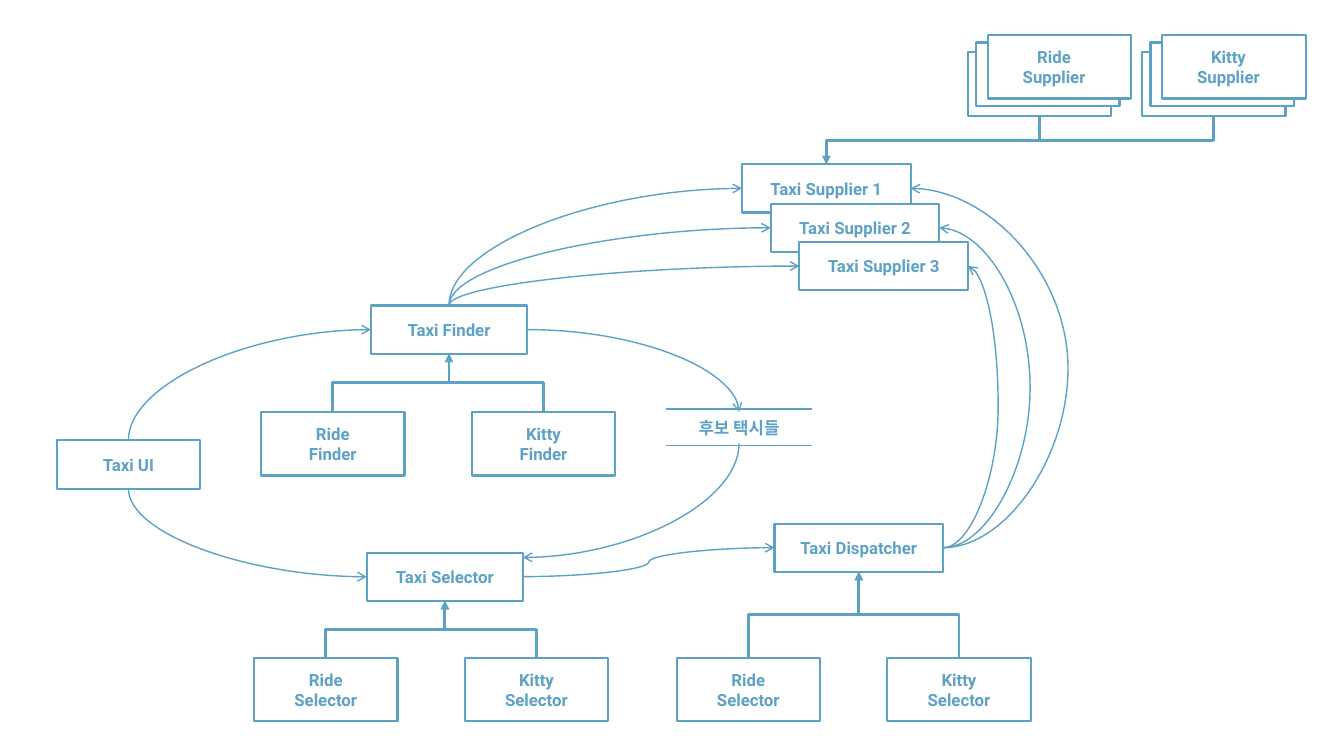
from dataclasses import dataclass

from lxml.etree import SubElement
from pptx import Presentation
from pptx.dml.color import RGBColor
from pptx.enum.shapes import MSO_CONNECTOR, MSO_SHAPE
from pptx.enum.text import MSO_ANCHOR, PP_ALIGN
from pptx.oxml.ns import qn
from pptx.util import Pt

COLORS = {"line": "5DA2C5", "paper": "FFFFFF"}
FONT = "Roboto"
ROLE_HEIGHT = 34.5
LEAF_WIDTH, LEAF_HEIGHT, LEAF_PITCH = 102.5, 45.5, 150.5


@dataclass
class Box:
    left: float
    top: float
    width: float
    height: float = ROLE_HEIGHT

    @property
    def top_middle(self):
        return self.left + self.width / 2, self.top

    @property
    def bottom_middle(self):
        return self.left + self.width / 2, self.top + self.height

    @property
    def left_middle(self):
        return self.left, self.top + self.height / 2

    @property
    def right_middle(self):
        return self.left + self.width, self.top + self.height / 2

    def moved(self, across, down):
        return Box(self.left + across, self.top + down, self.width, self.height)


def write_text(shape, text, size=12, bold=True, color="line", right_inset=0):
    frame = shape.text_frame
    frame.word_wrap = True
    frame.vertical_anchor = MSO_ANCHOR.MIDDLE
    frame.margin_left = frame.margin_top = frame.margin_bottom = 0
    frame.margin_right = Pt(right_inset)
    for index, words in enumerate(text.split("\n")):
        paragraph = frame.paragraphs[0] if index == 0 else frame.add_paragraph()
        paragraph.alignment = PP_ALIGN.CENTER
        run = paragraph.add_run()
        run.text = words
        run.font.name = FONT
        run.font.size = Pt(size)
        run.font.bold = bold
        run.font.color.rgb = RGBColor.from_string(COLORS[color])


def add_box(slide, box, text="", filled=False, right_inset=0):
    shape = slide.shapes.add_shape(
        MSO_SHAPE.RECTANGLE, Pt(box.left), Pt(box.top), Pt(box.width), Pt(box.height))
    shape.shadow.inherit = False
    if filled:
        shape.fill.solid()
        shape.fill.fore_color.rgb = RGBColor.from_string(COLORS["paper"])
    else:
        shape.fill.background()
    shape.line.color.rgb = RGBColor.from_string(COLORS["line"])
    shape.line.width = Pt(1.5)
    if text:
        write_text(shape, text, right_inset=right_inset)


def add_line(slide, start, end, kind=MSO_CONNECTOR.STRAIGHT, preset=None,
             upright=False, weight=1, head=None, bulge=None):
    (x1, y1), (x2, y2) = start, end
    if upright:
        middle_x, middle_y = (x1 + x2) / 2, (y1 + y2) / 2
        half_width, half_height = (y2 - y1) / 2, (x1 - x2) / 2
        x1, x2 = middle_x - half_width, middle_x + half_width
        y1, y2 = middle_y - half_height, middle_y + half_height
    connector = slide.shapes.add_connector(kind, Pt(x1), Pt(y1), Pt(x2), Pt(y2))
    connector.line.color.rgb = RGBColor.from_string(COLORS["line"])
    connector.line.width = Pt(weight)
    properties = connector._element.spPr
    geometry = properties.find(qn("a:prstGeom"))
    if upright:
        properties.find(qn("a:xfrm")).set("rot", str(90 * 60000))
    if preset:
        geometry.set("prst", preset)
    if bulge is not None:
        adjustment = round((bulge - x1) / (x2 - x1) * 100000)
        SubElement(geometry.find(qn("a:avLst")), qn("a:gd"),
                   name="adj1", fmla=f"val {adjustment}")
    if head:
        SubElement(properties.find(qn("a:ln")), qn("a:tailEnd"), type=head)
    SubElement(properties, qn("a:effectLst"))


def add_flow(slide, start, end, upright=False, preset="curvedConnector2", bulge=None):
    add_line(slide, start, end, MSO_CONNECTOR.CURVE, preset, upright,
             head="arrow", bulge=bulge)


def add_inheritance(slide, child_point, parent_point):
    add_line(slide, child_point, parent_point, MSO_CONNECTOR.ELBOW,
             upright=True, weight=2, head="triangle")


def draw_children(slide, box, parent, role):
    for index, brand in enumerate(("Ride", "Kitty")):
        child = box.moved(index * LEAF_PITCH, 0)
        add_box(slide, child, f"{brand}\n{role}")
        add_inheritance(slide, child.top_middle, parent.bottom_middle)


def draw_supplier_stack(slide, box, brand, parent):
    add_box(slide, box)
    add_box(slide, box.moved(6, -7), filled=True)
    add_box(slide, box.moved(14.5, -12.5), f"{brand}\nSupplier", filled=True, right_inset=8)
    add_inheritance(slide, box.bottom_middle, parent.top_middle)


def draw_candidates(slide, box):
    right, bottom = box.left + box.width, box.top + box.height
    for y in (box.top, bottom):
        add_line(slide, (box.left, y), (right, y))
    label = slide.shapes.add_textbox(
        Pt(box.left), Pt(box.top), Pt(box.width), Pt(box.height))
    write_text(label, "후보 택시들")


def draw_flows(slide, user, finder, selector, dispatcher, suppliers, candidates):
    add_flow(slide, user.top_middle, finder.left_middle, upright=True)
    add_flow(slide, user.bottom_middle, selector.left_middle, upright=True)
    candidate_x = candidates.top_middle[0]
    add_flow(slide, finder.right_middle, (candidate_x, candidates.top + 2))
    add_flow(slide, (candidate_x, candidates.bottom_middle[1] - 1.5),
             (selector.right_middle[0], selector.top + 3.5), upright=True)
    add_flow(slide, selector.right_middle, dispatcher.left_middle, preset="curvedConnector3")
    for supplier, bulge in zip(suppliers, (763, 736, 713)):
        add_flow(slide, finder.top_middle, supplier.left_middle, upright=True)
        add_flow(slide, dispatcher.right_middle, supplier.right_middle,
                 preset="curvedConnector3", bulge=bulge)


def draw_taxi_system(slide):
    user = Box(40.5, 314.5, 102.5)
    finder = Box(265, 218.2, 111.5)
    selector = Box(262, 394.7, 111.5)
    dispatcher = Box(553.2, 374, 120.5)
    suppliers = [Box(530, 117.3, 120.5), Box(550.5, 145.5, 120.5), Box(571, 172.8, 120.5)]
    candidates = Box(475.9, 292.3, 104, 26)

    for box, name in ((user, "UI"), (finder, "Finder"),
                      (selector, "Selector"), (dispatcher, "Dispatcher")):
        add_box(slide, box, f"Taxi {name}")
    for number, box in enumerate(suppliers, 1):
        add_box(slide, box, f"Taxi Supplier {number}", filled=number > 1)
    draw_candidates(slide, candidates)
    draw_flows(slide, user, finder, selector, dispatcher, suppliers, candidates)

    for left, top, parent, role in ((181.5, 469.7, selector, "Selector"),
                                    (186.5, 294.2, finder, "Finder"),
                                    (483.3, 469.7, dispatcher, "Selector")):
        draw_children(slide, Box(left, top, LEAF_WIDTH, LEAF_HEIGHT), parent, role)
    for left, brand in ((691.2, "Ride"), (815.8, "Kitty")):
        draw_supplier_stack(slide, Box(left, 37.4, LEAF_WIDTH, LEAF_HEIGHT),
                            brand, suppliers[0])


def main():
    presentation = Presentation()
    presentation.slide_width, presentation.slide_height = Pt(960), Pt(540)
    slide = presentation.slides.add_slide(presentation.slide_layouts[6])
    draw_taxi_system(slide)
    presentation.save("out.pptx")


if __name__ == "__main__":
    main()
